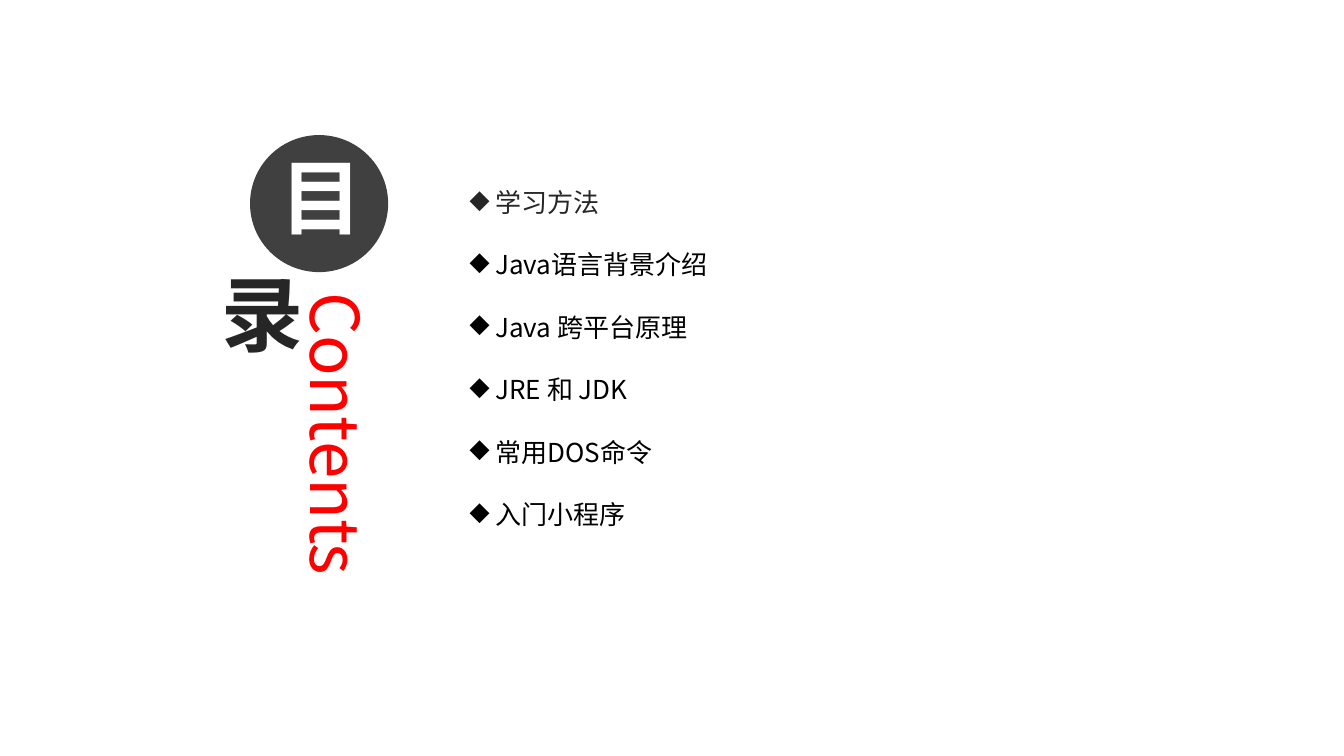
from lxml.etree import SubElement
from pptx import Presentation
from pptx.dml.color import RGBColor
from pptx.enum.shapes import MSO_SHAPE
from pptx.enum.text import MSO_ANCHOR, PP_ALIGN
from pptx.oxml.ns import qn
from pptx.util import Inches, Pt

FONT = "Noto Sans CJK SC"
BLACK, DARK, GREY, WHITE, RED = "000000", "262626", "404040", "FFFFFF", "FF0000"
TOPICS = [
    ("学习方法", DARK),
    ("Java语言背景介绍", BLACK),
    ("Java 跨平台原理", BLACK),
    ("JRE 和 JDK", BLACK),
    ("常用DOS命令", BLACK),
    ("入门小程序", BLACK),
]
TITLE = [  # character, box, fill, text colour
    ("目", (2.48, 1.34, 1.37, 1.36), GREY, WHITE),
    ("录", (1.94, 2.57, 1.07, 1.07), None, DARK),
]
SIDE = ("Contents", (2.86, 2.8, 0.94, 3.85))
LIST_BOX = (4.56, 1.49, 6.3, 3.87)
INDENT = 0.19


def color(code):
    return RGBColor.from_string(code)


def write(para, text, size, code, bold=False):
    """Put text in a paragraph, with the font for Latin and Chinese."""
    run = para.add_run()
    run.text = text
    font = para.font
    font.name, font.size, font.bold = FONT, Pt(size), bold
    font.color.rgb = color(code)
    SubElement(run._r.get_or_add_rPr(), qn("a:ea"), typeface=FONT)


def add_box(box):
    frame = slide.shapes.add_textbox(*map(Inches, box)).text_frame
    frame.word_wrap = True
    return frame


def add_disc(char, box, fill, code):
    disc = slide.shapes.add_shape(MSO_SHAPE.OVAL, *map(Inches, box))
    disc.shadow.inherit = False
    disc.line.fill.background()
    frame = disc.text_frame
    frame.vertical_anchor = MSO_ANCHOR.MIDDLE
    para = frame.paragraphs[0]
    para.alignment = PP_ALIGN.CENTER
    if fill:
        disc.fill.solid()
        disc.fill.fore_color.rgb = color(fill)
        frame.margin_bottom = Inches(0.2)
        para.line_spacing = Pt(70)
    else:
        disc.fill.background()
    write(para, char, 58.6, code, True)


def add_bullet(para):
    props = para._p.get_or_add_pPr()
    props.set("marL", str(Inches(INDENT)))
    props.set("indent", str(-Inches(INDENT)))
    SubElement(props, qn("a:buChar"), char="◆")


prs = Presentation()
prs.slide_width, prs.slide_height = Inches(13.33), Inches(7.5)
slide = prs.slides.add_slide(prs.slide_layouts[6])

word, box = SIDE
side = add_box(box)
side._txBody.bodyPr.set("vert", "eaVert")
write(side.paragraphs[0], word, 48, RED)

for part in TITLE:
    add_disc(*part)

topics = add_box(LIST_BOX)
for i, (text, code) in enumerate(TOPICS):
    para = topics.add_paragraph() if i else topics.paragraphs[0]
    para.line_spacing = 2.0
    add_bullet(para)
    write(para, " " + text, 18.6, code)

prs.save("out.pptx")
